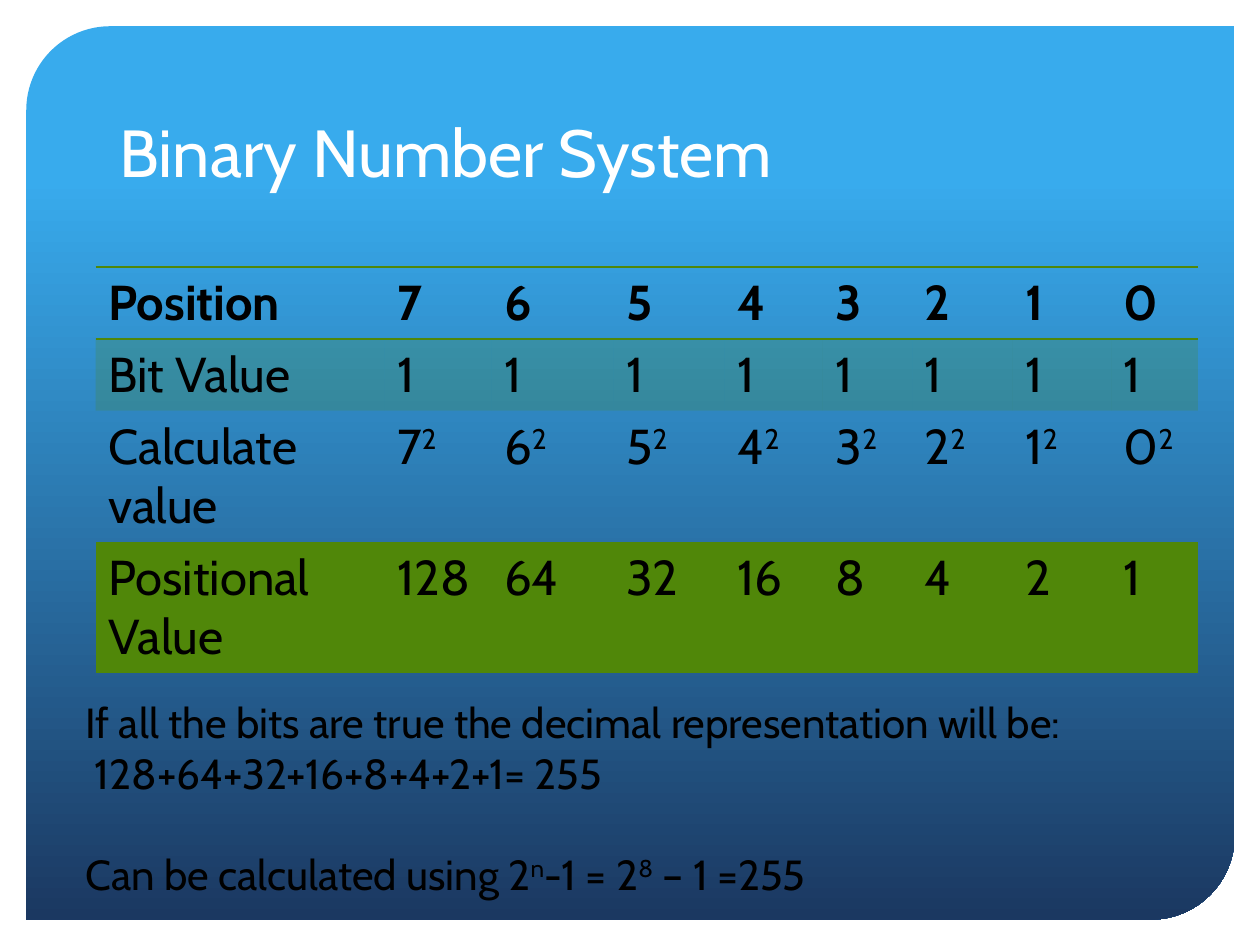
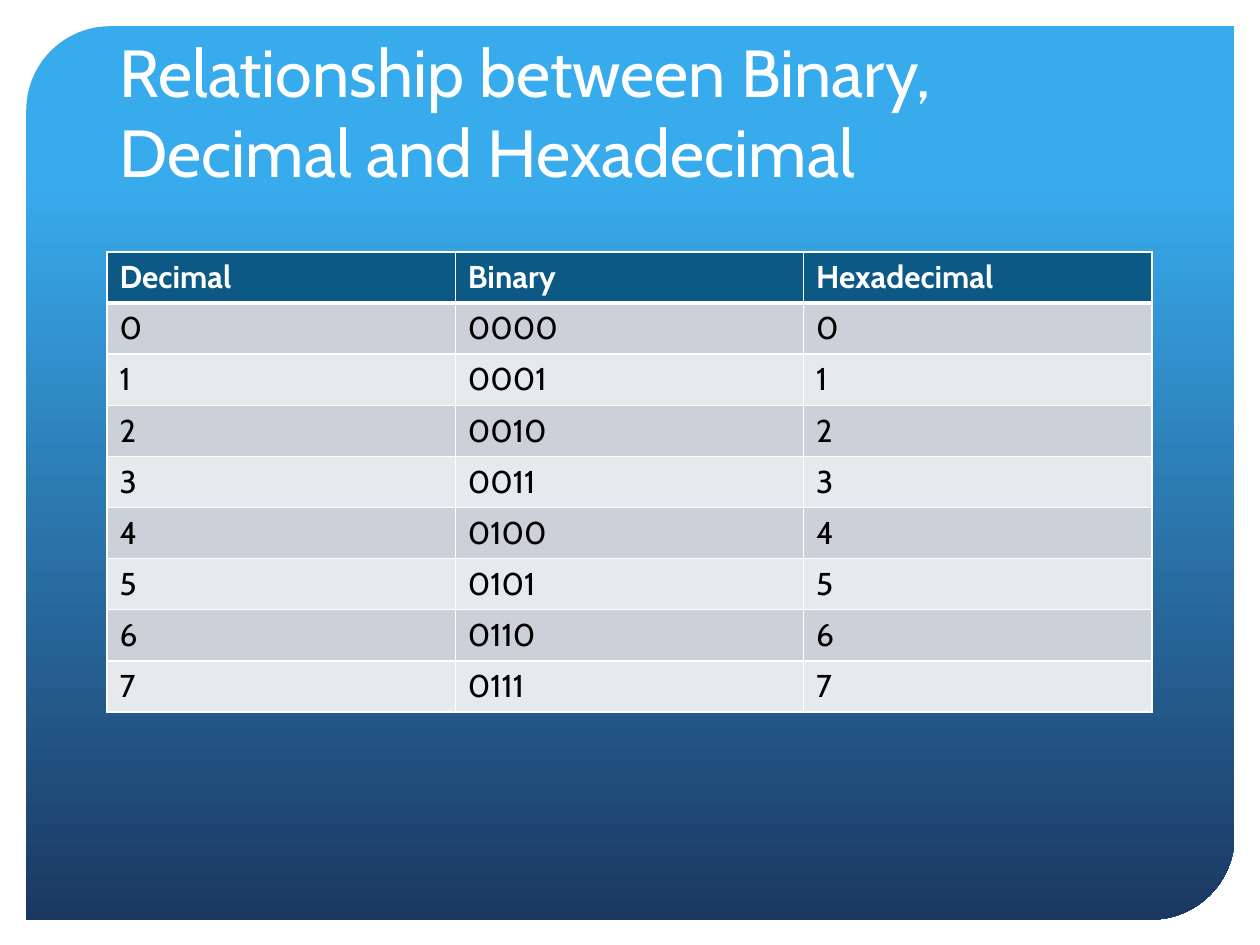
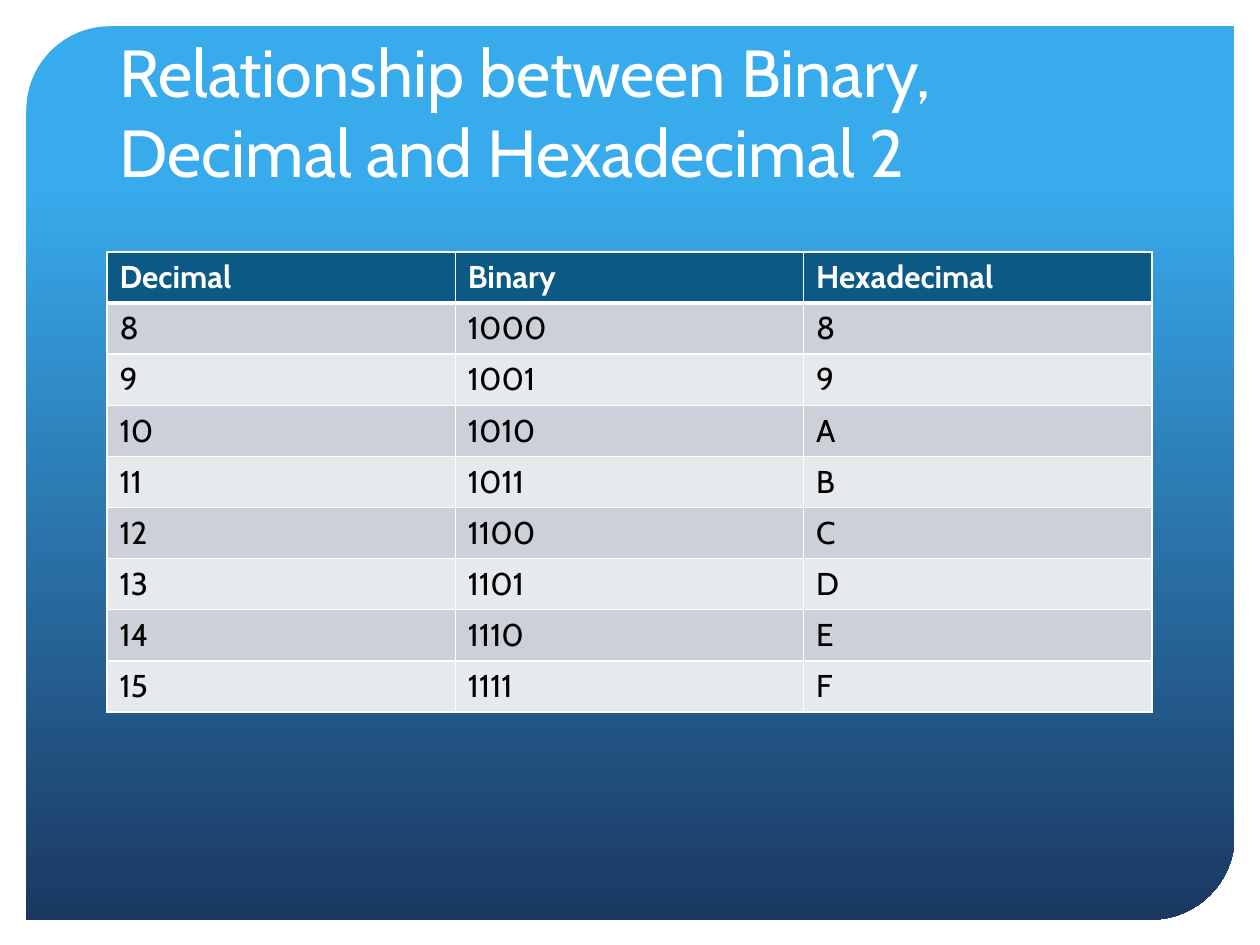
from dataclasses import dataclass

from lxml.etree import SubElement
from pptx import Presentation
from pptx.dml.color import RGBColor as RGB
from pptx.enum.shapes import MSO_SHAPE as SHAPE
from pptx.enum.text import MSO_ANCHOR as ANCHOR
from pptx.oxml.ns import qn
from pptx.util import Cm, Pt


@dataclass(frozen=True)
class Theme:
    """Colours and type sizes shared by all slides."""
    font: str = "Cabin"
    sky: str = "38ABED"
    navy: str = "1B3861"
    white: str = "FFFFFF"
    black: str = "000000"
    green: str = "508709"
    header: str = "0C5986"
    bands: tuple = ("CCD1D9", "E7EAED")
    title: int = 38
    large: int = 28
    note: int = 24
    small: int = 18


T = Theme()
NO_STYLE = "{2D5ABB26-0587-4C30-8999-92F81FD0307C}"
PANEL_BOX = (0.53, 0.53, 24.36, 18.01)
TITLE_BOX = (2.16, 1.07, 21.06, 2.9)
BITS_BOX = (1.93, 5.38, 22.22, 8.18)
NOTE_BOX = (1.47, 13.92, 22.71, 4.37)
RELATION_BOX = (2.16, 5.08, 21.06, 9.27)
BIT_COLUMNS = (5.82, 2.16, 2.46, 2.24, 1.98, 1.8, 2.03, 1.98, 1.75)
BIT_ROWS = (1.45, 1.45, 2.64, 2.64)


def write(p, text, size, color, bold=False):
    """Write text in a paragraph, raising the parts between bars."""
    p.font.name, p.font.size, p.font.bold = T.font, Pt(size), bold
    p.font.color.rgb = RGB.from_string(color)
    for i, part in enumerate(text.split("|")):
        if part:
            r = p.add_run()
            r.text = part
            if i % 2:
                r._r.get_or_add_rPr().set("baseline", "30000")


def add_text(s, box, lines, size, color, anchor=ANCHOR.TOP):
    """Add a wrapping text box with one paragraph per line."""
    tf = s.shapes.add_textbox(*map(Cm, box)).text_frame
    tf.word_wrap, tf.vertical_anchor = True, anchor
    for i, line in enumerate(lines):
        p = tf.add_paragraph() if i else tf.paragraphs[0]
        write(p, line, size, color)
    return tf


def add_panel(s, box):
    """Add the gradient panel with two rounded corners."""
    sp = s.shapes.add_shape(SHAPE.ROUND_2_DIAG_RECTANGLE, *map(Cm, box))
    sp.adjustments[0], sp.adjustments[1] = 0.094, 0
    sp.shadow.inherit = False
    sp.line.fill.background()
    sp.fill.gradient()
    sp.fill.gradient_angle = 270
    for stop, pos, color in zip(sp.fill.gradient_stops, (0.17, 1), (T.sky, T.navy)):
        stop.position, stop.color.rgb = pos, RGB.from_string(color)


def add_slide(prs, title):
    """Add a slide with its panel and title."""
    s = prs.slides.add_slide(prs.slide_layouts[6])
    add_panel(s, PANEL_BOX)
    add_text(s, TITLE_BOX, [title], T.title, T.white, ANCHOR.BOTTOM)
    return s


def add_table(s, box, rows, widths, heights):
    """Add an unstyled table with the given column widths and row heights."""
    table = s.shapes.add_table(len(rows), len(widths), *map(Cm, box)).table
    table._tbl.tblPr.find(qn("a:tableStyleId")).text = NO_STYLE
    table.first_row = table.horz_banding = False
    for column, width in zip(table.columns, widths):
        column.width = Cm(width)
    for row, height in zip(table.rows, heights):
        row.height = Cm(height)
    return table


def set_borders(cell, color, widths):
    """Draw cell borders from side letters and widths, in L, R, T, B order."""
    for side, width in widths.items():
        ln = SubElement(cell._tc.get_or_add_tcPr(), qn(f"a:ln{side}"), w=str(Pt(width)))
        SubElement(SubElement(ln, qn("a:solidFill")), qn("a:srgbClr"), val=color)


def set_fill(cell, color, alpha=100):
    """Fill a cell with a colour of the given opacity in percent."""
    cell.fill.solid()
    cell.fill.fore_color.rgb = RGB.from_string(color)
    if alpha < 100:
        clr = cell._tc.tcPr.find(f".//{qn('a:srgbClr')}")
        SubElement(clr, qn("a:alpha"), val=str(alpha * 1000))


def add_bit_table(s, box):
    """Add the table of bit positions and their values."""
    bits = range(7, -1, -1)
    rows = [
        ["Position", *map(str, bits)],
        ["Bit Value", *("1" for _ in bits)],
        ["Calculate value", *(f"{n}|2|" for n in bits)],
        ["Positional Value", *(str(2 ** n) for n in bits)],
    ]
    borders = {0: {"T": 1, "B": 1}, 3: {"B": 1}}
    table = add_table(s, box, rows, BIT_COLUMNS, BIT_ROWS)
    for i, row in enumerate(rows):
        for cell, text in zip(table.rows[i].cells, row):
            write(cell.text_frame.paragraphs[0], text, T.large, T.black, i == 0)
            set_borders(cell, T.green, borders.get(i, {}))
            if i % 2:
                set_fill(cell, T.green, 20)
            else:
                cell.fill.background()


def add_relation_table(s, box, numbers):
    """Add the table of numbers in decimal, binary and hexadecimal."""
    rows = [("Decimal", "Binary", "Hexadecimal")]
    rows += [(str(n), f"{n:04b}", f"{n:X}") for n in numbers]
    table = add_table(s, box, rows, [box[2] / 3] * 3, [box[3] / len(rows)] * len(rows))
    for i, row in enumerate(rows):
        head = i == 0
        for cell, text in zip(table.rows[i].cells, row):
            write(cell.text_frame.paragraphs[0], text, T.small,
                  T.white if head else T.black, head)
            set_borders(cell, T.white, {"L": 1, "R": 1, "T": 3 if i == 1 else 1,
                                        "B": 3 if head else 1})
            set_fill(cell, T.header if head else T.bands[(i - 1) % 2])


def binary_slide(prs):
    """Build the slide on the binary number system."""
    s = add_slide(prs, "Binary Number System")
    add_bit_table(s, BITS_BOX)
    tf = add_text(s, NOTE_BOX, [
        "If all the bits are true the decimal representation will be:",
        " 128+64+32+16+8+4+2+1= 255",
        "Can be calculated using 2|n|-1 = 2|8| – 1 =255",
    ], T.note, T.black)
    tf.paragraphs[-1].space_before = Pt(29)


def relation_slide(prs, title, numbers):
    """Build a slide comparing the three number systems."""
    add_relation_table(add_slide(prs, title), RELATION_BOX, numbers)


def main():
    """Build and save the presentation."""
    prs = Presentation()
    prs.slide_width, prs.slide_height = Cm(25.4), Cm(19.05)
    title = "Relationship between Binary, Decimal and Hexadecimal"
    binary_slide(prs)
    relation_slide(prs, title, range(8))
    relation_slide(prs, f"{title} 2", range(8, 16))
    prs.save("out.pptx")


if __name__ == "__main__":
    main()
